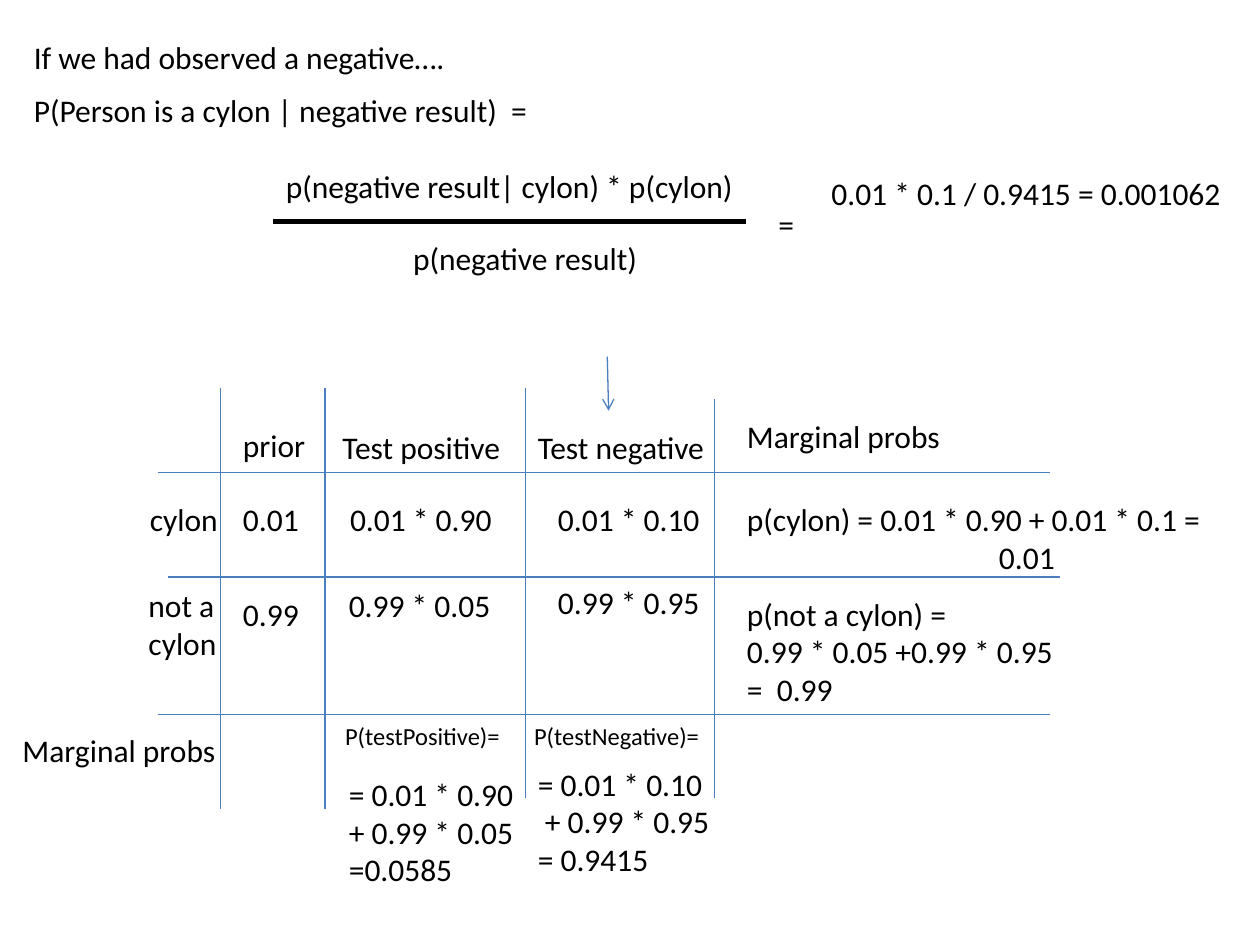
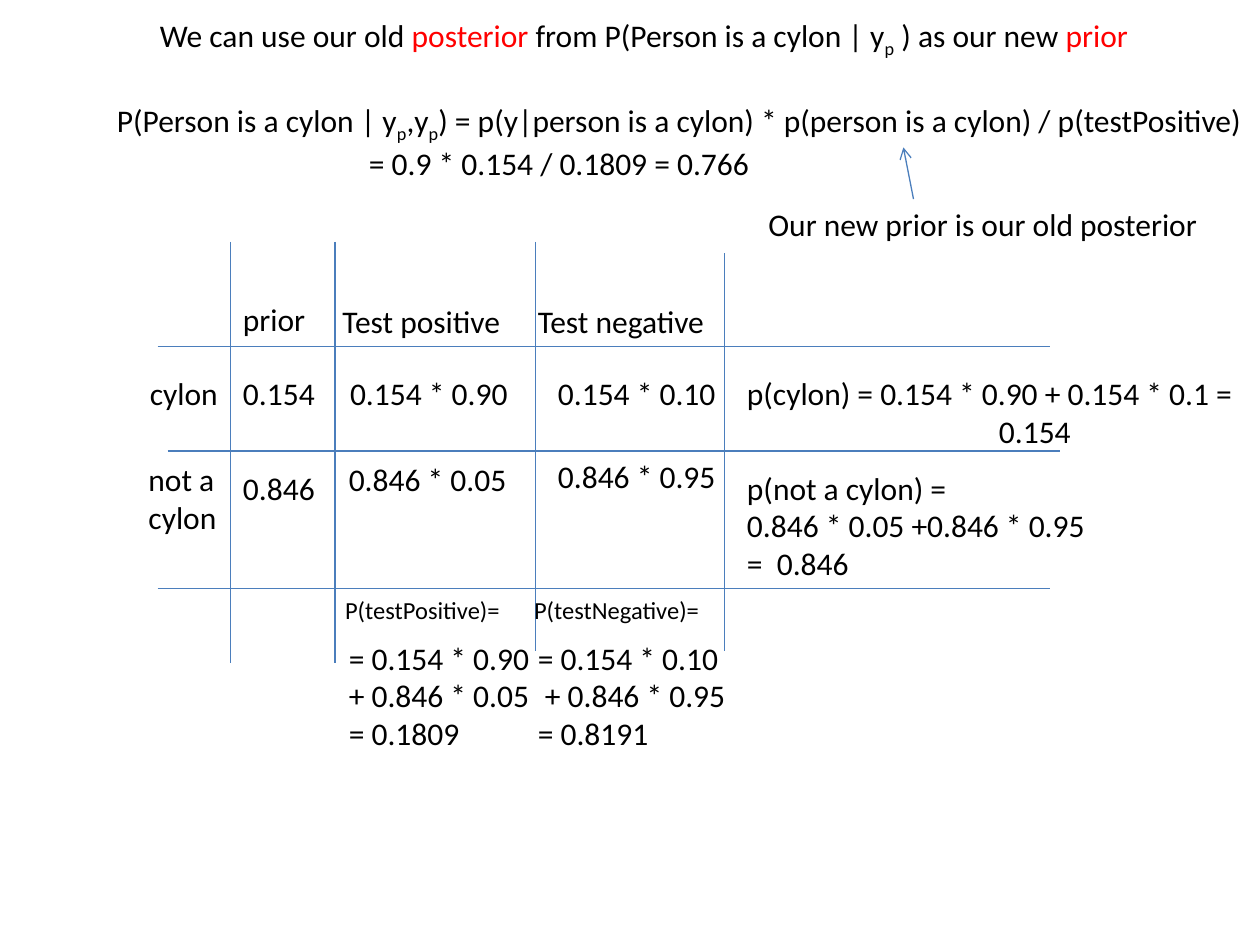
from lxml.etree import SubElement
from pptx import Presentation
from pptx.dml.color import RGBColor
from pptx.enum.shapes import MSO_CONNECTOR
from pptx.enum.text import MSO_AUTO_SIZE
from pptx.oxml.ns import qn
from pptx.util import Pt

PX = 9144  # EMU, a hundredth of an inch
WIDTH, HEIGHT = 1000, 750

BLACK = RGBColor(0x00, 0x00, 0x00)
RED = RGBColor(0xFF, 0x00, 0x00)
BLUE = RGBColor(0x4B, 0x7E, 0xBC)
FONT = "Calibri"
TAB = 200  # indent of continued formulas
SUB, HIGHLIGHT = "subscript", "highlight"


def add_text(slide, left, top, width, *lines, size=18, height=None):
    """Add one paragraph per line; a line is a string or a list of (text, style)."""
    height = height or (34 if size == 14 else 10 + 30 * len(lines))
    box = slide.shapes.add_textbox(left * PX, top * PX, width * PX, height * PX)
    frame = box.text_frame
    frame.word_wrap = False
    frame.auto_size = MSO_AUTO_SIZE.SHAPE_TO_FIT_TEXT
    for i, line in enumerate(lines):
        paragraph = frame.add_paragraph() if i else frame.paragraphs[0]
        pieces = [(line, None)] if isinstance(line, str) else line
        for words, style in pieces:
            run = paragraph.add_run()
            run.text = words
            run.font.name = FONT
            run.font.size = Pt(size)
            run.font.color.rgb = RED if style == HIGHLIGHT else BLACK
            if style == SUB:
                run.font._element.set("baseline", "-25000")
    return frame.paragraphs


def indent(paragraph):
    paragraph._p.get_or_add_pPr().set("marL", str(TAB * PX))


def add_line(slide, x1, y1, x2, y2, color=BLUE, weight=0.75, arrow=False):
    line = slide.shapes.add_connector(
        MSO_CONNECTOR.STRAIGHT, x1 * PX, y1 * PX, x2 * PX, y2 * PX)
    line.line.color.rgb = color
    line.line.width = Pt(weight)
    if arrow:
        SubElement(line.line._get_or_add_ln(), qn("a:tailEnd"), type="arrow")
    SubElement(line._element.spPr, qn("a:effectLst"))


def probability_table(slide, left, top, prior, other, positive_sum, negative_sum,
                      positive_top=294, shift=(0, 0)):
    """Ruled table of joint probabilities; shift moves the column rules."""
    extra = 13 * (len(prior) - 4)  # room for each longer number

    def put(x, y, width, *lines, **options):
        return add_text(slide, left + x, top + y, width, *lines, **options)

    # Row and column rules
    for x, y in ((17, 67), (25, 150), (17, 259)):
        add_line(slide, left + x, top + y, left + x + 708, top + y)
    dx, dy = left + shift[0], top + shift[1]
    for x, start, end in ((67, 0, 334), (150, 0, 334), (309, 0, 325), (459, 9, 325)):
        add_line(slide, dx + x, dy + start, dx + x, dy + end)

    # Row labels and priors
    put(1, 84, 75, "cylon")
    put(0, 152, 79, "not a", "cylon")
    put(75, 25, 70, "prior")
    put(75, 84, 65 + extra, prior)
    put(75, 159, 65 + extra, other)

    # Test columns: heading, joint probabilities, column total
    columns = (
        ("positive", (154, 147), (160, 159), 152, ("0.90", "0.05"),
         (156, 145), (159, positive_top, 152), "", positive_sum),
        ("negative", (309, 154), (325, 325), 150, ("0.10", "0.95"),
         (306, 153), (309, 294, 158), " ", negative_sum),
    )
    for (result, heading, cell_x, other_y, rates, label,
         total, lead, total_value) in columns:
        joint = f"{prior} * {rates[0]}"
        joint_other = f"{other} * {rates[1]}"
        put(heading[0], 27, heading[1], f"Test {result}")
        put(cell_x[0], 84, 134 + extra, joint)
        put(cell_x[1], other_y, 134 + extra, joint_other)
        put(label[0], 259, label[1], f"P(test{result.title()})=", size=14)
        x, y, width = total
        put(x, y, width + extra, f"= {joint}", f"{lead}+ {joint_other}", total_value)

    # Row totals
    cylon_total = put(475, 84, 390 + 2 * extra,
                      f"p(cylon) = {prior} * 0.90 + {prior} * 0.1 =", prior)
    indent(cylon_total[1])
    put(475, 159, 266 + 2 * extra, "p(not a cylon) =",
        f"{other} * 0.05 +{other} * 0.95", f"=  {other}", height=131)


def bayes_fraction(slide, left, top):
    """Posterior after a negative result, written as a fraction."""
    formula = add_text(slide, left, top, 593,
                       "P(Person is a cylon | negative result)  =",
                       "p(negative result| cylon) * p(cylon)", height=101)
    formula[1].space_before = Pt(22)
    indent(formula[1])
    add_line(slide, left + 200, top + 109, left + 575, top + 109, BLACK, 3)
    add_text(slide, left + 301, top + 118, 200, "p(negative result)")
    add_text(slide, left + 591, top + 91, 33, "=")
    add_text(slide, left + 633, top + 66, 339, "0.01 * 0.1 / 0.9415 = 0.001062")


def posterior_as_prior(slide, left, top):
    """Statement, formula and remark on reusing the posterior."""
    add_text(slide, left + 34, top, 799, [
        ("We can use our old ", None), ("posterior", HIGHLIGHT),
        (" from P(Person is a cylon | y", None), ("p", SUB),
        (" ) as our new ", None), ("prior", HIGHLIGHT)])
    formula = add_text(slide, left, top + 67, 926, [
        ("P(Person is a cylon | y", None), ("p", SUB), (",y", None), ("p", SUB),
        (") = p(y|person is a cylon) * p(person is a cylon) / p(testPositive)", None),
    ], "= 0.9 * 0.154 / 0.1809 = 0.766")
    indent(formula[1])
    add_line(slide, left + 642, top + 150, left + 634, top + 109, arrow=True)
    add_text(slide, left + 517, top + 150, 365, "Our new prior is our old posterior")


def negative_slide(slide):
    left, top = 108, 308
    probability_table(slide, left, top, "0.01", "0.99", "=0.0585", "= 0.9415",
                      positive_top=302)
    for x, y in ((475, 18), (-100, 267)):
        add_text(slide, left + x, top + y, 175, "Marginal probs")
    add_line(slide, 482, 283, 483, 326, arrow=True)
    add_text(slide, 17, 25, 350, "If we had observed a negative….")
    bayes_fraction(slide, 17, 67)


def new_prior_slide(slide):
    probability_table(slide, 108, 208, "0.154", "0.846", "= 0.1809", "= 0.8191",
                      shift=(8, -16))
    posterior_as_prior(slide, 83, 8)


def main():
    deck = Presentation()
    deck.slide_width, deck.slide_height = WIDTH * PX, HEIGHT * PX
    for build in (negative_slide, new_prior_slide):
        build(deck.slides.add_slide(deck.slide_layouts[6]))
    deck.save("out.pptx")


if __name__ == "__main__":
    main()
